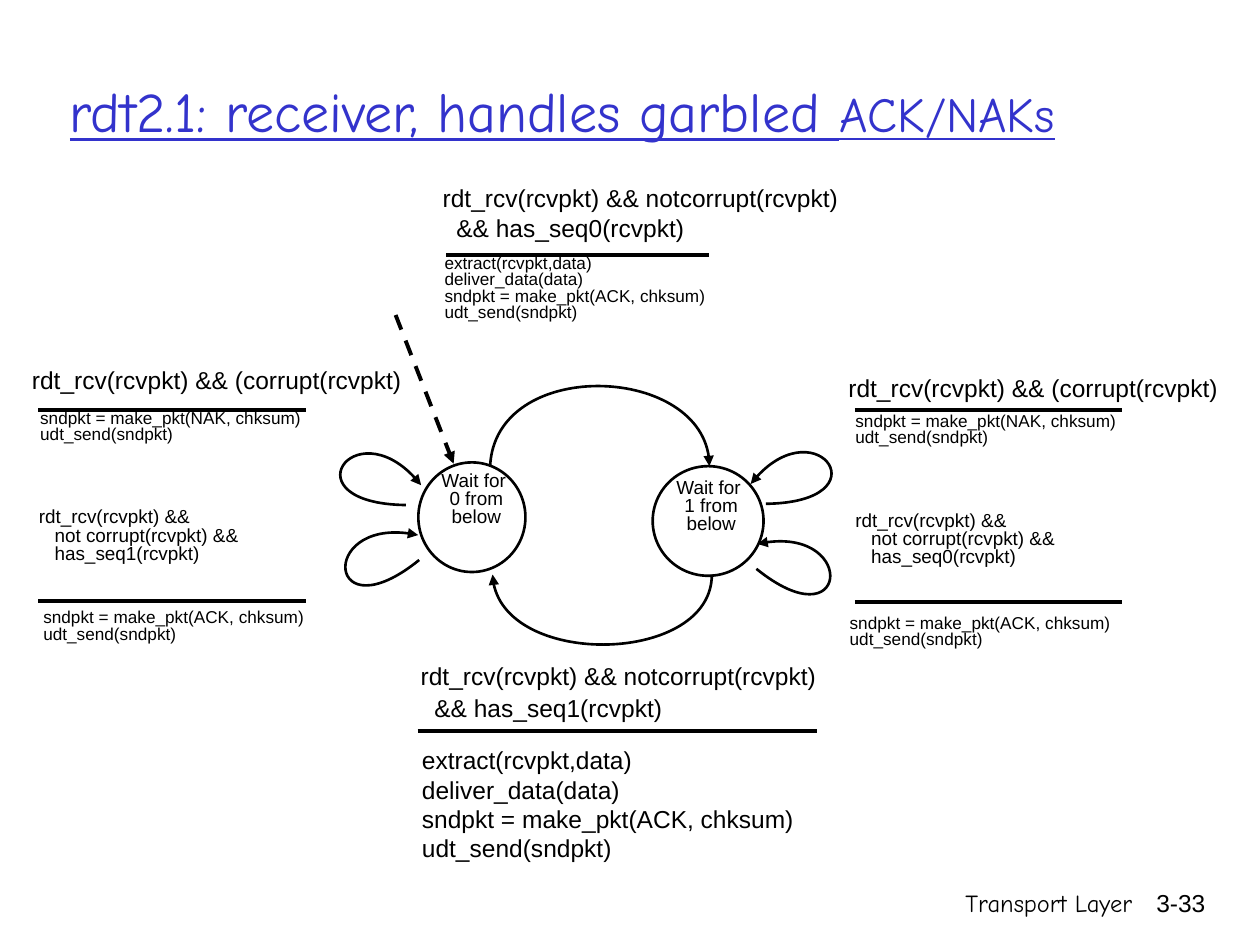
from lxml.etree import SubElement
from pptx import Presentation
from pptx.dml.color import RGBColor
from pptx.enum.dml import MSO_LINE
from pptx.enum.shapes import MSO_CONNECTOR, MSO_SHAPE
from pptx.enum.text import MSO_ANCHOR, MSO_AUTO_SIZE, PP_ALIGN
from pptx.oxml.ns import qn
from pptx.util import Inches, Pt

BLACK = RGBColor(0x00, 0x00, 0x00)
WHITE = RGBColor(0xFF, 0xFF, 0xFF)
BLUE = RGBColor(0x33, 0x33, 0xCC)
SANS, COMIC = "Arial", "Comic Neue"

prs = Presentation()
prs.slide_width, prs.slide_height = Inches(10), Inches(7.5)
COL, ROW = prs.slide_width // 100, prs.slide_height // 75
s = prs.slides.add_slide(prs.slide_layouts[5])


def add_text(shapes, box, lines, size=14, font=SANS, align=PP_ALIGN.LEFT,
             spacing=1.0, indent=0, gap=0):
    """Add a text box; indent and gap apply to every line after the first."""
    x, y, w, h = box
    tf = shapes.add_textbox(round(x * COL), round(y * ROW),
                            round(w * COL), round(h * ROW)).text_frame
    tf.word_wrap = True
    for i, line in enumerate(lines):
        p = tf.paragraphs[0] if i == 0 else tf.add_paragraph()
        p.alignment, p.line_spacing = align, spacing
        if i and gap:
            p.space_before = Pt(gap)
        if i and indent:
            p._p.get_or_add_pPr().set("marL", str(Pt(indent)))
        r = p.add_run()
        r.text = line
        r.font.size, r.font.name, r.font.color.rgb = Pt(size), font, BLACK


def set_stroke(sp, width, arrow=False):
    sp.line.color.rgb = BLACK
    sp.line.width = Pt(width)
    if arrow:
        SubElement(sp.line._get_or_add_ln(), qn("a:tailEnd"), type="triangle")


# Title
title = s.shapes.title
title.left, title.top = round(4.55 * COL), round(2.5 * ROW)
title.width, title.height = 91 * COL, round(12.5 * ROW)
tf = title.text_frame
tf.auto_size, tf.vertical_anchor = MSO_AUTO_SIZE.NONE, MSO_ANCHOR.MIDDLE
p = tf.paragraphs[0]
p.alignment = PP_ALIGN.LEFT
for text, size in (("rdt2.1: receiver, handles garbled ", 32), ("ACK/NAKs", 28)):
    r = p.add_run()
    r.text = text
    r.font.size, r.font.name, r.font.underline = Pt(size), COMIC, True
    r.font.color.rgb = BLUE

# Footer
add_text(s.shapes, (59.15, 70, 31.7, 5), ["Transport Layer"], font=COMIC, align=PP_ALIGN.RIGHT)
add_text(s.shapes, (89.25, 70, 7.4, 5), ["3-33"], align=PP_ALIGN.RIGHT)

# States: circle and label
for n, (x, y, w), label_box in (
    (0, (33.2, 36.7, 8.5), (33.4, 37.05, 8.8, 6.7)),
    (1, (51.8, 37, 8.8), (52.1, 37.6, 8.7, 6.7)),
):
    state = s.shapes.add_group_shape().shapes
    sp = state.add_shape(MSO_SHAPE.OVAL, round(x * COL), round(y * ROW),
                         round(w * COL), round(8.7 * ROW))
    sp.shadow.inherit = False
    sp.fill.solid()
    sp.fill.fore_color.rgb = WHITE
    set_stroke(sp, 1.5)
    add_text(state, label_box, ["Wait for ", f"{n} from below"], size=10.8,
             align=PP_ALIGN.CENTER, spacing=0.8)

# Transitions: cubic curves as start, two control points, end
curves = [
    (0, [(38.9, 37), (39.3, 28.4), (56.3, 28.9), (56.3, 37)]),
    (0, [(56.5, 45.6), (56.5, 52.7), (39.4, 53.1), (39.1, 45.6)]),
]
# Self-loops: one curve around its centre, mirrored for the left state and turned
LOOP = ((-4.1, 1.2), (4.6, 4.7), (2.55, -4.7), (-4.6, -0.72))
for cx, cy, side, turn in (
    (64.1, 37.3, 1, -22.7),
    (64.3, 45.2, 1, 17),
    (29, 44.5, -1, -17),
    (28.9, 37.4, -1, 22.7),
):
    curves.append((turn, [(cx + side * x, cy + y) for x, y in LOOP]))

for turn, points in curves:
    start, *rest = [(round(x * COL), round(y * ROW)) for x, y in points]
    fb = s.shapes.build_freeform(*start)
    fb.add_line_segments(rest, close=False)
    sp = fb.convert_to_shape()
    outline = next(sp._element.iter(qn("a:path")))
    segments = outline.findall(qn("a:lnTo"))
    cubic = SubElement(outline, qn("a:cubicBezTo"))
    for segment in segments:
        cubic.append(segment[0])
        outline.remove(segment)
    sp.rotation = turn
    sp.shadow.inherit = False
    sp.fill.background()
    set_stroke(sp, 1.5, arrow=True)

# Rules between event and action, and the dashed initial arrow
for x1, y1, x2, y2, initial in (
    (35.4, 20.27, 56.3, 20.27, False),
    (33.15, 58, 64.85, 58, False),
    (3.05, 32.53, 24.25, 32.53, False),
    (3.05, 47.7, 24.25, 47.7, False),
    (67.85, 32.53, 89.05, 32.53, False),
    (67.85, 47.8, 89.05, 47.8, False),
    (31.4, 25, 36, 36.8, True),
):
    line = s.shapes.add_connector(MSO_CONNECTOR.STRAIGHT, round(x1 * COL), round(y1 * ROW),
                                  round(x2 * COL), round(y2 * ROW))
    if initial:
        line.line.dash_style = MSO_LINE.DASH
    set_stroke(line, 2.25, arrow=initial)
    SubElement(line._element.spPr, qn("a:effectLst"))

# Transitions between the states: event above the rule, actions below
SEND_ACK = ["sndpkt = make_pkt(ACK, chksum)", "udt_send(sndpkt)"]
SEND_NAK = ["sndpkt = make_pkt(NAK, chksum)", "udt_send(sndpkt)"]
DELIVER = ["extract(rcvpkt,data)", "deliver_data(data)", *SEND_ACK]
for seq, event_box, gap, action_box, size, spacing in (
    (0, (34.15, 14.05, 43.5, 6.3), 0, (34.3, 19.85, 38, 7.7), 9.8, 0.8),
    (1, (32.4, 51.95, 39.2, 6.2), 1.8, (32.5, 58.65, 42.1, 10.9), 14, 1.0),
):
    add_text(s.shapes, event_box,
             ["rdt_rcv(rcvpkt) && notcorrupt(rcvpkt)", f"&& has_seq{seq}(rcvpkt)"],
             indent=7.8, gap=gap)
    add_text(s.shapes, action_box, DELIVER, size=size, spacing=spacing)

# Self-loop labels: corrupt packet above, duplicate packet below
for seq, corrupt, nak, duplicate, ack in (
    (1, (1.55, 28.45), (2.2, 32.15), (2.1, 39.95), (2.45, 47.95)),
    (0, (66.35, 29.1), (66.9, 32.35), (66.9, 40.2), (66.45, 48.4)),
):
    add_text(s.shapes, (*corrupt, 31.6, 6.7), ["rdt_rcv(rcvpkt) && (corrupt(rcvpkt)"])
    add_text(s.shapes, (*nak, 33.1, 4.5), SEND_NAK, size=9.8, spacing=0.8)
    add_text(s.shapes, (*duplicate, 28.7, 6.7),
             ["rdt_rcv(rcvpkt) &&", "not corrupt(rcvpkt) &&", f"has_seq{seq}(rcvpkt)"],
             size=10.8, spacing=0.8, indent=9)
    add_text(s.shapes, (*ack, 32.2, 4.5), SEND_ACK, size=9.8, spacing=0.8)

prs.save("out.pptx")
